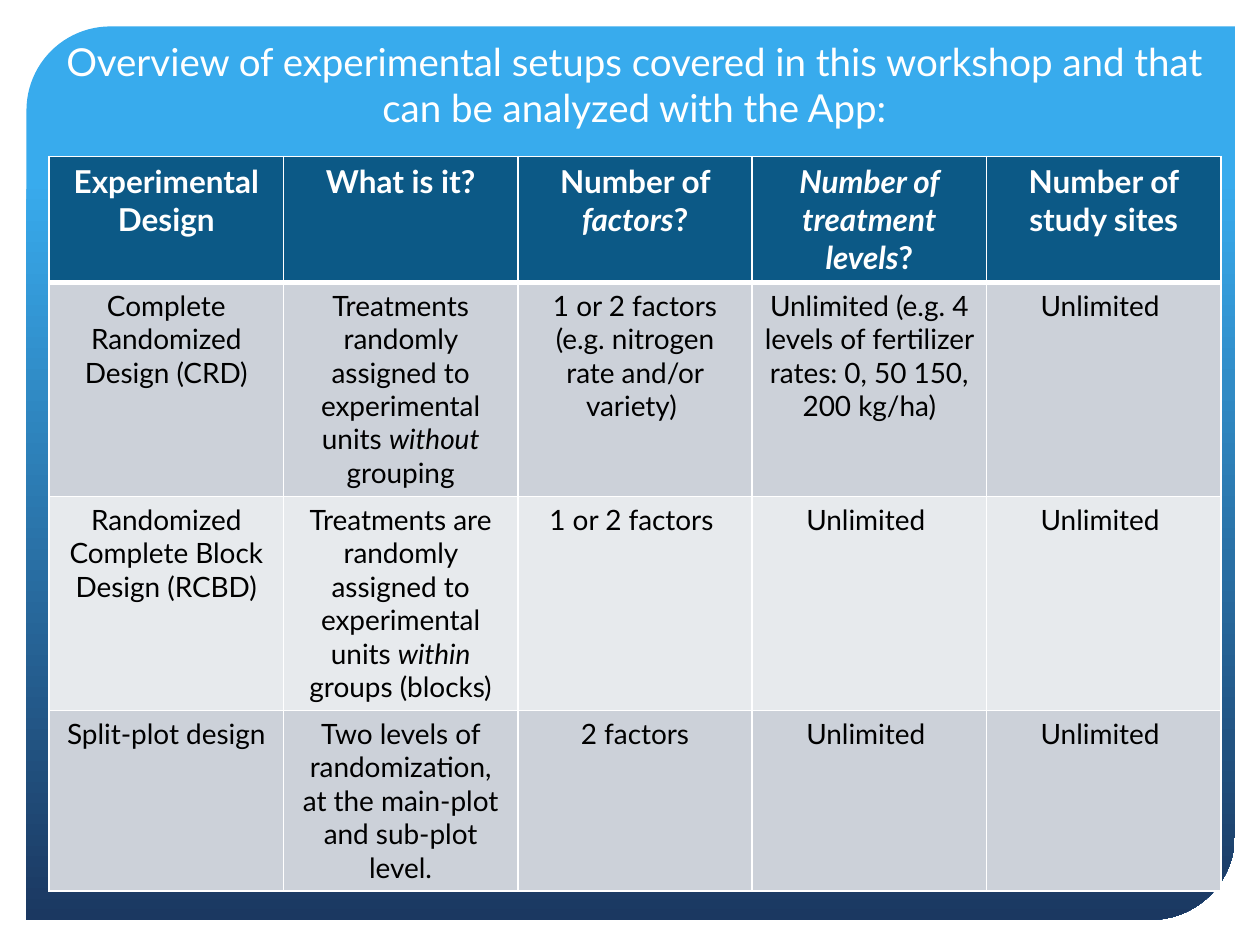
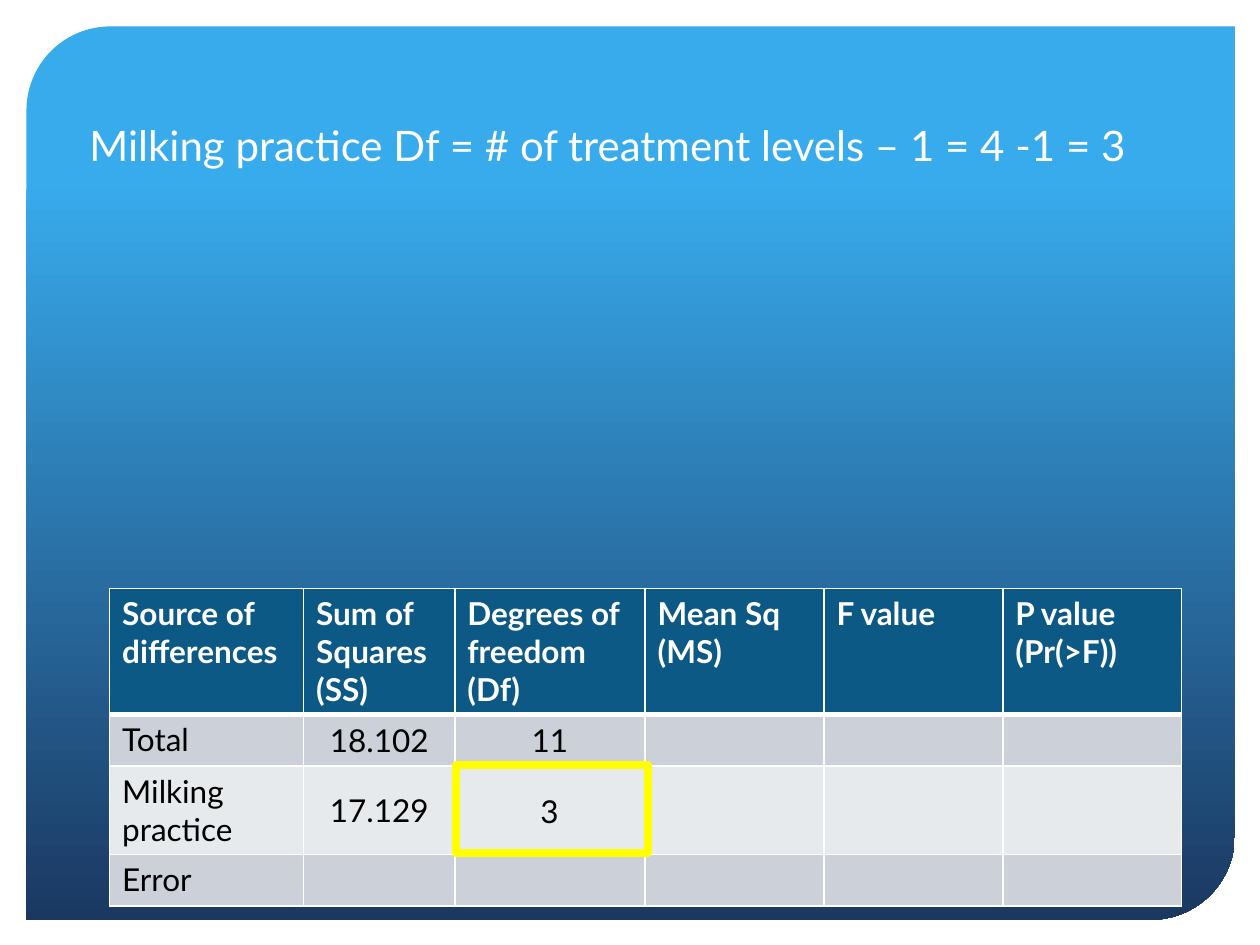
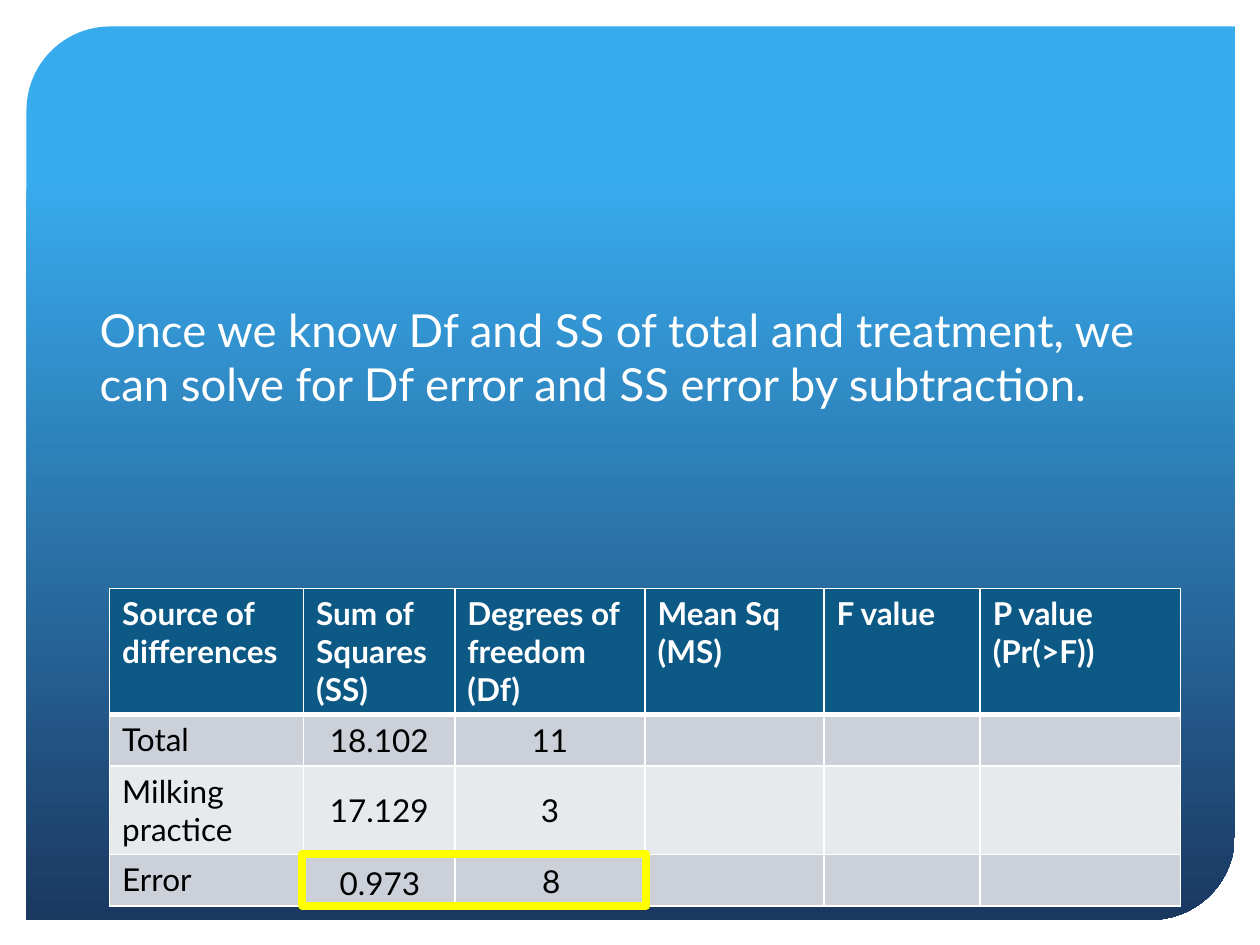
import pptx
import pptx.dml.color
import pptx.enum.shapes
import pptx.enum.text
import pptx.oxml
import pptx.oxml.ns
import pptx.util
from pptx.util import Inches

# Shared look
RGBColor = pptx.dml.color.RGBColor
WHITE = RGBColor(0xFF, 0xFF, 0xFF)
BLACK = RGBColor(0x00, 0x00, 0x00)
SKY = RGBColor(0x38, 0xAB, 0xED)
NAVY = RGBColor(0x1B, 0x38, 0x61)
HEADER_BLUE = RGBColor(0x0C, 0x59, 0x86)
ROW_DARK = RGBColor(0xCC, 0xD1, 0xD9)
ROW_LIGHT = RGBColor(0xE7, 0xEA, 0xED)
YELLOW = RGBColor(0xFF, 0xFF, 0x00)
FONT = "Lato"
CENTER = pptx.enum.text.PP_ALIGN.CENTER
LEFT = pptx.enum.text.PP_ALIGN.LEFT
TOP = pptx.enum.text.MSO_ANCHOR.TOP
MIDDLE = pptx.enum.text.MSO_ANCHOR.MIDDLE
BOTTOM = pptx.enum.text.MSO_ANCHOR.BOTTOM
SHAPES = pptx.enum.shapes.MSO_SHAPE


def write_text(frame, text, size, color, align, bold=False):
    """Write one paragraph per line; words between asterisks are italic."""
    for number, line in enumerate(text.split("\n")):
        para = frame.add_paragraph() if number else frame.paragraphs[0]
        para.alignment = align
        para.font.name = FONT
        para.font.size = pptx.util.Pt(size)
        para.font.bold = bold
        para.font.color.rgb = color
        for part, words in enumerate(line.split("*")):
            if words:
                span = para.add_run()
                span.text = words
                if part % 2:
                    span.font.italic = True


def add_grid(page, left, top, widths, heights, rows, size, all_centered):
    """Add a table with a blue header, banded rows and white borders."""
    frame = page.shapes.add_table(len(rows), len(widths), Inches(left), Inches(top),
                                  Inches(sum(widths)), Inches(sum(heights)))
    table = frame.table
    for column, width in zip(table.columns, widths):
        column.width = Inches(width)
    for r, texts in enumerate(rows):
        table.rows[r].height = Inches(heights[r])
        header = r == 0
        for c, text in enumerate(texts):
            cell = table.cell(r, c)
            figure = not (all_centered or header or c == 0)
            cell.vertical_anchor = MIDDLE if figure else TOP
            write_text(cell.text_frame, text, 18 if header else size,
                       WHITE if header else BLACK,
                       CENTER if all_centered or figure else LEFT, header)
            # The line under the header is thicker
            points = {"L": 1, "R": 1, "T": 3 if r == 1 else 1, "B": 3 if header else 1}
            for side, width in points.items():
                cell._tc.get_or_add_tcPr().append(pptx.oxml.parse_xml(
                    f'<a:ln{side} {pptx.oxml.ns.nsdecls("a")} w="{width * 12700}">'
                    f'<a:solidFill><a:srgbClr val="{WHITE}"/></a:solidFill></a:ln{side}>'))
            cell.fill.solid()
            cell.fill.fore_color.rgb = HEADER_BLUE if header else (ROW_LIGHT, ROW_DARK)[r % 2]


deck = pptx.Presentation()
deck.slide_width, deck.slide_height = Inches(10), Inches(7.5)
layout = deck.slide_layouts[5]

# Slide titles: text, left, top, width, height, size, alignment, anchor
titles = [
    ("Overview of experimental setups covered in this workshop and that can be "
     "analyzed with the App:", 0.3, 0.1, 9.47, 1.14, 22, CENTER, MIDDLE),
    ("Milking practice Df = # of treatment levels – 1 = 4 -1 = 3",
     0.61, 0.9, 9.39, 0.5, 24, LEFT, TOP),
    ("Once we know Df and SS of total and treatment, we can solve for Df error "
     "and SS error by subtraction.", 0.69, 2.17, 8.87, 1.14, 26, LEFT, BOTTOM),
]
pages = []
for text, left, top, width, height, size, align, anchor in titles:
    page = deck.slides.add_slide(layout)
    pages.append(page)
    title = page.shapes.title
    title.left, title.top = Inches(left), Inches(top)
    title.width, title.height = Inches(width), Inches(height)
    title.text_frame.auto_size = pptx.enum.text.MSO_AUTO_SIZE.NONE
    title.text_frame.vertical_anchor = anchor
    write_text(title.text_frame, text, size, WHITE, align)

# Gradient panel, moved to the master so that every slide shows it
panel = pages[0].shapes.add_shape(SHAPES.ROUND_2_DIAG_RECTANGLE, Inches(0.21), Inches(0.21),
                                  Inches(9.59), Inches(7.09))
panel.shadow.inherit = False
panel.adjustments[0], panel.adjustments[1] = 0.094, 0
panel.line.fill.background()
panel.fill.gradient()
panel.fill.gradient_angle = 270
for stop, position, color in zip(panel.fill.gradient_stops, (0.17, 1), (SKY, NAVY)):
    stop.position = position
    stop.color.rgb = color
panel.element.nvSpPr.cNvPr.id = 20
deck.slide_master.shapes.element.insert(2, panel.element)

# Slide 1: experimental designs
designs = [
    ["Experimental Design", "What is it?", "Number of *factors*?",
     "*Number of treatment levels*?", "Number of study sites"],
    ["Complete Randomized Design (CRD)",
     "Treatments randomly assigned to experimental units *without* grouping",
     "1 or 2 factors (e.g. nitrogen rate and/or variety) ",
     "Unlimited (e.g. 4 levels of fertilizer rates: 0, 50 150, 200 kg/ha)", "Unlimited "],
    ["Randomized Complete Block Design (RCBD)",
     "Treatments are randomly assigned to experimental units *within* groups (blocks)",
     "1 or 2 factors ", "Unlimited ", "Unlimited "],
    ["Split-plot design",
     "Two levels of randomization, at the main-plot and sub-plot level.",
     "2 factors", "Unlimited ", "Unlimited "],
]
add_grid(pages[0], 0.39, 1.24, [1.86] * 5, [1, 1.7, 1.7, 1.43], designs, 16, True)

# Slides 2 and 3: variance table, yellow highlight and the new figures in it
steps = [
    (pages[1], [1.42, 1.42], "", (3.62, 6.07, 1.52, 0.7),
     [("3", 4.19, 6.24, 0.71, LEFT)]),
    (pages[2], [1.24, 1.59], "3", (2.4, 6.78, 2.73, 0.41),
     [("8", 3.98, 6.79, 0.79, CENTER), ("0.973", 2.56, 6.81, 0.91, CENTER)]),
]
for page, last_widths, practice_df, highlight, figures in steps:
    variances = [
        ["Source of differences", "Sum of Squares\n(SS)", "Degrees of freedom (Df)",
         "Mean Sq\n(MS)", "F value", "P value\n(Pr(>F))"],
        ["Total", "18.102", "11", "", "", ""],
        ["Milking practice", "17.129", practice_df, "", "", ""],
        ["Error", "", "", "", "", ""],
    ]
    add_grid(page, 0.87, 4.67, [1.54, 1.2, 1.51, 1.42] + last_widths,
             [1, 0.41, 0.7, 0.41], variances, 18, False)
    marker = page.shapes.add_shape(SHAPES.RECTANGLE, *map(Inches, highlight))
    marker.shadow.inherit = False
    marker.fill.background()
    marker.line.color.rgb = YELLOW
    marker.line.width = pptx.util.Pt(4.5)
    for text, left, top, width, align in figures:
        box = page.shapes.add_textbox(Inches(left), Inches(top), Inches(width), Inches(0.4))
        box.text_frame.word_wrap = True
        box.text_frame.auto_size = pptx.enum.text.MSO_AUTO_SIZE.SHAPE_TO_FIT_TEXT
        write_text(box.text_frame, text, 18, BLACK, align)

deck.save("out.pptx")
